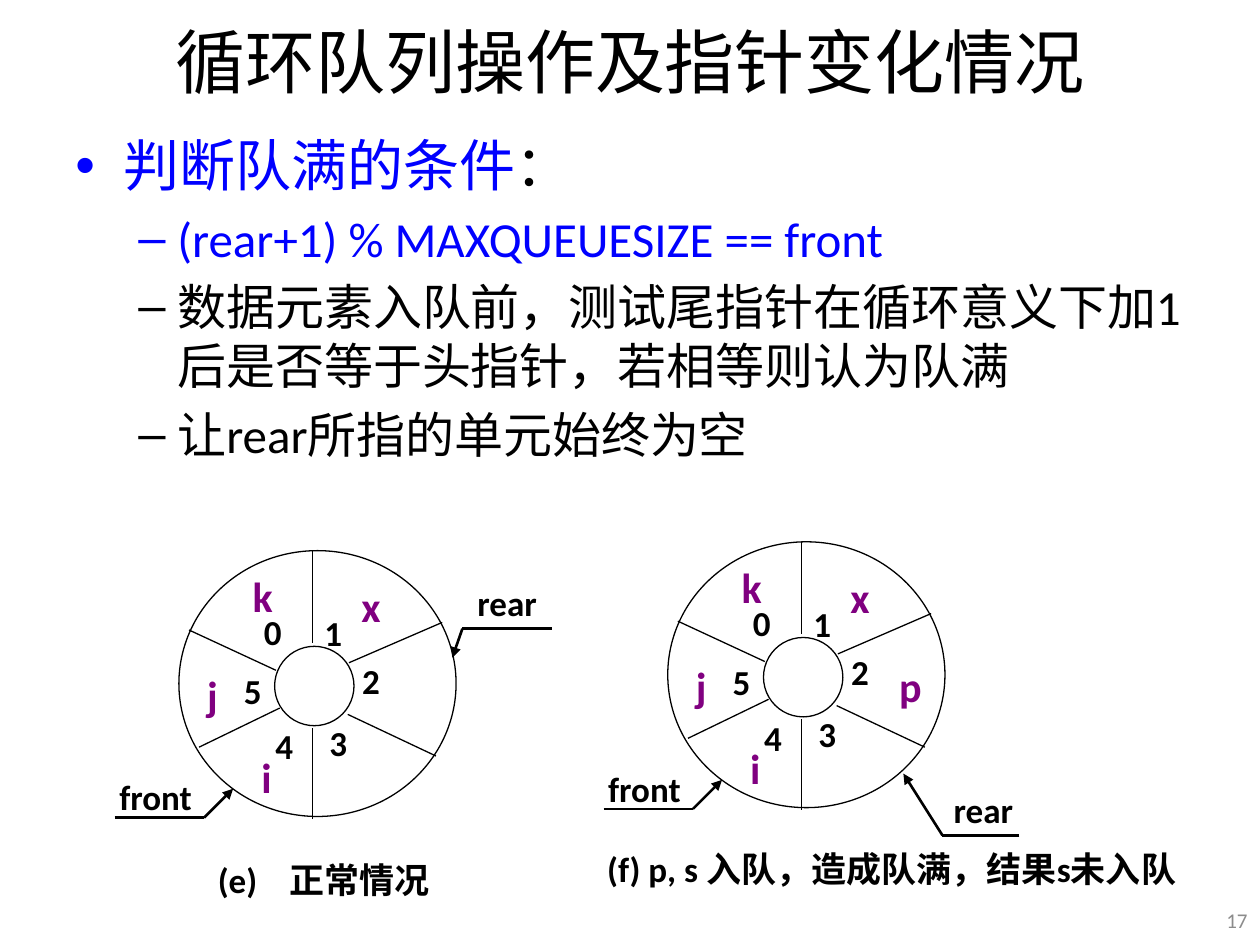
from dataclasses import dataclass

from lxml.etree import SubElement
from pptx import Presentation
from pptx.dml.color import RGBColor
from pptx.enum.lang import MSO_LANGUAGE_ID
from pptx.enum.shapes import MSO_CONNECTOR, MSO_SHAPE
from pptx.enum.text import MSO_ANCHOR, MSO_AUTO_SIZE, PP_ALIGN
from pptx.oxml.ns import qn
from pptx.util import Inches, Pt


@dataclass(frozen=True)
class Theme:
    """Hold the colours, type sizes and line widths of the slide."""
    font: str = "Calibri"
    black: RGBColor = RGBColor(0, 0, 0)
    blue: RGBColor = RGBColor(0, 0, 255)
    purple: RGBColor = RGBColor(128, 0, 128)
    gray: RGBColor = RGBColor(140, 140, 140)
    title: int = 40
    heading: int = 32
    point: int = 28
    element: int = 24
    label: int = 20
    page: int = 12
    thin: float = 0.75
    thick: float = 1.5


THEME = Theme()
COLUMNS, ROWS = 100, 75
CELL = Inches(0.1)

SPOKES = [
    ((10.6, 0), (10.6, 7.3)),
    ((10.6, 14.1), (10.6, 21.3)),
    ((13.5, 8.9), (20.9, 5.7)),
    ((1.6, 15.6), (8, 12.5)),
    ((13.4, 13), (20.4, 16.3)),
    ((0.8, 6.3), (7.7, 9.5)),
]
INDEXES = [(7.45, 6.4), (12.25, 6.5), (15.25, 10.3),
           (12.65, 15.2), (8.35, 15.5), (5.85, 11.1)]
ELEMENTS = {"i": (6.95, 17.95), "j": (2.65, 11.45), "k": (6.65, 3.55),
            "x": (15.25, 4.35), "p": (19.25, 11.45)}
FRONT = ("front", (-1.85, 19.55), (-5.1, 21.2), (2, 21.2), (4.3, 18.9))
REAR_NORMAL = ("rear", (26.05, 4.15), (29.6, 6.2), (22.5, 6.2), (21.7, 8.5))
REAR_FULL = ("rear", (25.05, 21.25), (27.9, 23.3), (21.8, 23.3), (18.7, 18.4))
POINTS = [
    (0, [("判断队满的条件", THEME.blue), ("：", THEME.black)]),
    (1, [("(rear+1) % MAXQUEUESIZE == front", THEME.blue)]),
    (1, [("数据元素入队前，测试尾指针在循环意义下加1后是否等于头指针，若相等则认为队满",
          THEME.black)]),
    (1, [("让rear所指的单元始终为空", THEME.black)]),
]


def cells(*counts):
    """Turn counts of grid cells into lengths."""
    return [round(count * CELL) for count in counts]


def add_run(paragraph, text, size, color=THEME.black, bold=False):
    """Append one formatted run to a paragraph."""
    run = paragraph.add_run()
    run.text = text
    font = run.font
    font.name, font.size, font.bold = THEME.font, Pt(size), bold
    font.color.rgb = color
    font.language_id = MSO_LANGUAGE_ID.SIMPLIFIED_CHINESE


def add_text(shapes, box, text, size, color=THEME.black, bold=True,
             align=PP_ALIGN.CENTER):
    """Add a one-line text box and return its paragraph."""
    frame = shapes.add_textbox(*cells(*box)).text_frame
    frame.word_wrap = False
    frame.vertical_anchor = MSO_ANCHOR.MIDDLE
    paragraph = frame.paragraphs[0]
    paragraph.alignment = align
    add_run(paragraph, text, size, color, bold)
    return paragraph


def add_label(shapes, center, text, size, color=THEME.black, width=3.9):
    """Add a bold label centred on a grid point."""
    height = 3.9
    box = (center[0] - width / 2, center[1] - height / 2, width, height)
    add_text(shapes, box, text, size, color)


def add_line(shapes, start, end, width, arrow=False):
    """Add a black line, with an arrowhead at its end if wanted."""
    line = shapes.add_connector(MSO_CONNECTOR.STRAIGHT, *cells(*start, *end))
    line.line.color.rgb = THEME.black
    line.line.width = Pt(width)
    if arrow:
        SubElement(line.line._get_or_add_ln(), qn("a:tailEnd"), type="triangle")
    SubElement(line._element.spPr, qn("a:effectLst"))


def add_ring(shapes, *box):
    """Add an unfilled ellipse with a thin outline."""
    ring = shapes.add_shape(MSO_SHAPE.OVAL, *cells(*box))
    ring.shadow.inherit = False
    ring.fill.background()
    ring.line.color.rgb = THEME.black
    ring.line.width = Pt(THEME.thin)


def add_queue(slide, left, top, elements, rear):
    """Draw a circular queue with its elements and two pointers."""
    def place(point):
        """Shift a point of the queue to the slide's grid."""
        return left + point[0], top + point[1]

    shapes = slide.shapes.add_group_shape().shapes
    add_ring(shapes, *place((7.6, 7.6)), 6.3, 6.3)
    add_ring(shapes, left, top, 22, 21.1)
    for start, end in SPOKES:
        add_line(shapes, place(start), place(end), THEME.thin)
    for index, center in enumerate(INDEXES):
        add_label(shapes, place(center), str(index), THEME.label)
    for element in elements:
        add_label(shapes, place(ELEMENTS[element]), element, THEME.element, THEME.purple)
    for name, center, start, elbow, tip in (FRONT, rear):
        add_label(shapes, place(center), name, THEME.label, width=9)
        add_line(shapes, place(start), place(elbow), THEME.thick)
        add_line(shapes, place(elbow), place(tip), THEME.thick, arrow=True)


def set_title(slide, text):
    """Place and format the title placeholder."""
    title = slide.shapes.title
    title.left, title.top, title.width, title.height = cells(5, -0.3, 90, 10.2)
    frame = title.text_frame
    frame.auto_size = MSO_AUTO_SIZE.NONE
    frame.vertical_anchor = MSO_ANCHOR.MIDDLE
    frame.paragraphs[0].alignment = PP_ALIGN.CENTER
    add_run(frame.paragraphs[0], text, THEME.title)


def add_points(slide, points):
    """Add the two-level bulleted text."""
    frame = slide.shapes.add_textbox(*cells(5, 9.9, 90, 63.8)).text_frame
    frame.word_wrap = True
    styles = [("•", 3.8, -3.8, THEME.heading), ("–", 8.1, -3.1, THEME.point)]
    for number, (level, runs) in enumerate(points):
        paragraph = frame.add_paragraph() if number else frame.paragraphs[0]
        bullet, margin, indent, size = styles[level]
        paragraph.level = level
        paragraph.space_before = Pt(size * 0.2)
        properties = paragraph._p.get_or_add_pPr()
        for name, length in zip(("marL", "indent"), cells(margin, indent)):
            properties.set(name, str(length))
        SubElement(properties, qn("a:buFont"), typeface="Arial")
        SubElement(properties, qn("a:buChar"), char=bullet)
        for text, color in runs:
            add_run(paragraph, text, size, color)


def add_caption(slide, box, text, tab=None):
    """Add a bold caption, with a tab stop if wanted."""
    paragraph = add_text(slide.shapes, box, text, THEME.label, align=PP_ALIGN.LEFT)
    if tab:
        stops = SubElement(paragraph._p.get_or_add_pPr(), qn("a:tabLst"))
        SubElement(stops, qn("a:tab"), pos=str(cells(tab)[0]), algn="l")


def main():
    """Build the slide and save it."""
    presentation = Presentation()
    presentation.slide_width, presentation.slide_height = cells(COLUMNS, ROWS)
    slide = presentation.slides.add_slide(presentation.slide_layouts[5])
    set_title(slide, "循环队列操作及指针变化情况")
    add_points(slide, POINTS)
    add_text(slide.shapes, (95.7, 71, 4.3, 4), "17", THEME.page, THEME.gray,
             bold=False, align=PP_ALIGN.RIGHT)
    add_queue(slide, 53, 43, "ijkxp", REAR_FULL)
    add_caption(slide, (47.2, 67, 50.8, 3.9), "(f) p, s 入队，造成队满，结果s未入队")
    add_queue(slide, 14.2, 43.7, "ijkx", REAR_NORMAL)
    add_caption(slide, (16.3, 67.5, 18.8, 4.6), "(e)\t正常情况", tab=5.7)
    presentation.save("out.pptx")


if __name__ == "__main__":
    main()
